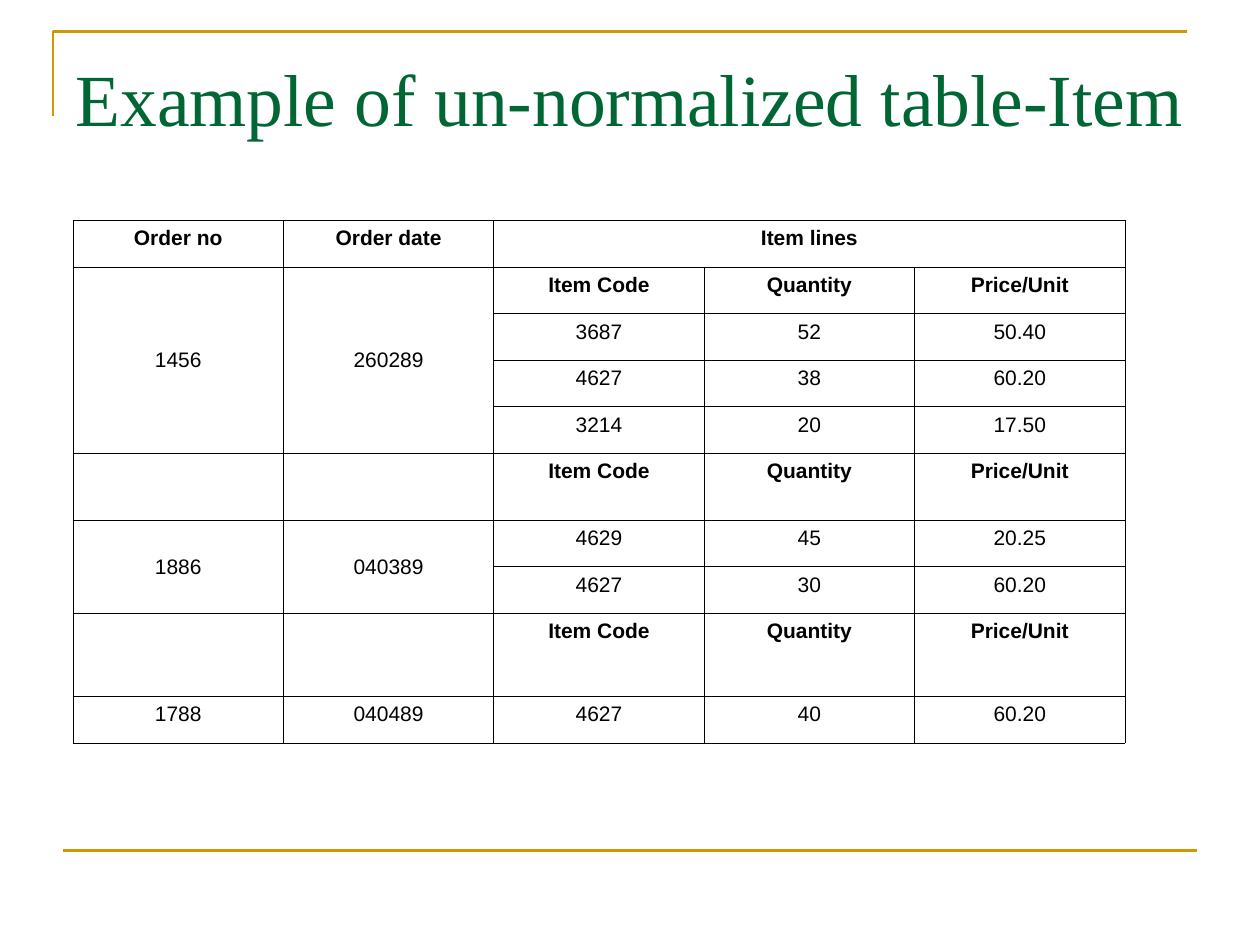
from lxml import etree
from pptx import Presentation
from pptx.dml.color import RGBColor
from pptx.enum.shapes import MSO_CONNECTOR
from pptx.enum.text import MSO_ANCHOR, MSO_AUTO_SIZE, PP_ALIGN
from pptx.oxml.ns import qn
from pptx.util import Inches, Pt

STRAIGHT = MSO_CONNECTOR.STRAIGHT
TOP, MIDDLE = MSO_ANCHOR.TOP, MSO_ANCHOR.MIDDLE
LEFT, CENTER = PP_ALIGN.LEFT, PP_ALIGN.CENTER
NO_AUTOFIT = MSO_AUTO_SIZE.NONE

COLORS = {"rule": "CC9900", "title": "006633", "text": "000000", "border": "000000"}

ITEM_HEADER = ("Item Code", "Quantity", "Price/Unit")
ORDERS = [
    ("1456", "260289", [("3687", "52", "50.40"), ("4627", "38", "60.20"),
                        ("3214", "20", "17.50")]),
    ("1886", "040389", [("4629", "45", "20.25"), ("4627", "30", "60.20")]),
    ("1788", "040489", [("4627", "40", "60.20")]),
]
ROW_HEIGHTS = [0.37] * 5 + [0.53] + [0.37] * 2 + [0.66, 0.37]
COL_WIDTH = 1.67


def rgb(name):
    return RGBColor.from_string(COLORS[name])


def add_run(p, text, font, size, color, bold=False):
    r = p.add_run()
    r.text = text
    r.font.name = font
    r.font.size = Pt(size)
    r.font.bold = bold
    r.font.color.rgb = rgb(color)


def style_rule(sp):
    sp.line.color.rgb = rgb("rule")
    sp.line.width = Pt(1.5)


def add_corner(s, left, top, right, bottom):
    builder = s.shapes.build_freeform(Inches(left), Inches(bottom))
    builder.add_line_segments(
        [(Inches(left), Inches(top)), (Inches(right), Inches(top))], close=False)
    sp = builder.convert_to_shape()
    sp.shadow.inherit = False
    sp.fill.background()
    style_rule(sp)


def add_rule(s, left, right, y):
    sp = s.shapes.add_connector(STRAIGHT, Inches(left), Inches(y), Inches(right), Inches(y))
    style_rule(sp)
    etree.SubElement(sp._element.spPr, qn("a:effectLst"))


def set_title(s, text):
    sp = s.shapes.title
    sp.left, sp.top = Inches(0.5), Inches(0.3)
    sp.width, sp.height = Inches(9), Inches(1.25)
    tf = sp.text_frame
    tf.word_wrap = True
    tf.auto_size = NO_AUTOFIT
    tf.vertical_anchor = TOP
    tf.margin_top = Inches(0.12)
    tf.margin_right = 0
    p = tf.paragraphs[0]
    p.alignment = LEFT
    add_run(p, text, "Times New Roman", 42, "title")


def set_borders(cell, width):
    tcPr = cell._tc.get_or_add_tcPr()
    for i, side in enumerate(("a:lnL", "a:lnR", "a:lnT", "a:lnB")):
        ln = etree.Element(qn(side), w=str(Pt(width)))
        fill = etree.SubElement(ln, qn("a:solidFill"))
        etree.SubElement(fill, qn("a:srgbClr"), val=COLORS["border"])
        tcPr.insert(i, ln)


def fill_cell(cell, text, bold=False, anchor=TOP):
    cell.vertical_anchor = anchor
    p = cell.text_frame.paragraphs[0]
    p.alignment = CENTER
    add_run(p, text, "Arial", 12, "text", bold)


def fill_row(table, row, first_col, values, bold=False):
    for col, text in enumerate(values, first_col):
        fill_cell(table.cell(row, col), text, bold)


def add_order(table, row, order, header_inside):
    number, date, items = order
    first = row if header_inside else row + 1
    last = row + len(items)
    anchor = MIDDLE if last > first else TOP
    for col, text in enumerate((number, date)):
        if last > first:
            table.cell(first, col).merge(table.cell(last, col))
        fill_cell(table.cell(first, col), text, anchor=anchor)
    fill_row(table, row, 2, ITEM_HEADER, bold=True)
    for i, item in enumerate(items, row + 1):
        fill_row(table, i, 2, item)
    return last + 1


def add_order_table(s):
    frame = s.shapes.add_table(len(ROW_HEIGHTS), 5, Inches(0.58), Inches(1.75),
                               Inches(5 * COL_WIDTH), Inches(sum(ROW_HEIGHTS)))
    table = frame.table
    table.first_row = False
    table.horz_banding = False
    for col in table.columns:
        col.width = Inches(COL_WIDTH)
    for row, height in zip(table.rows, ROW_HEIGHTS):
        row.height = Inches(height)
        for cell in row.cells:
            cell.fill.background()
            set_borders(cell, 0.45)
    table.cell(0, 2).merge(table.cell(0, 4))
    fill_row(table, 0, 0, ("Order no", "Order date", "Item lines"), bold=True)
    row = 1
    for order in ORDERS:
        row = add_order(table, row, order, header_inside=row == 1)


def main():
    prs = Presentation()
    prs.slide_width, prs.slide_height = Inches(10), Inches(7.5)
    s = prs.slides.add_slide(prs.slide_layouts[5])
    add_corner(s, 0.42, 0.25, 9.42, 0.92)
    add_rule(s, 0.5, 9.5, 6.75)
    set_title(s, "Example of un-normalized table-Item")
    add_order_table(s)
    prs.save("out.pptx")


if __name__ == "__main__":
    main()
